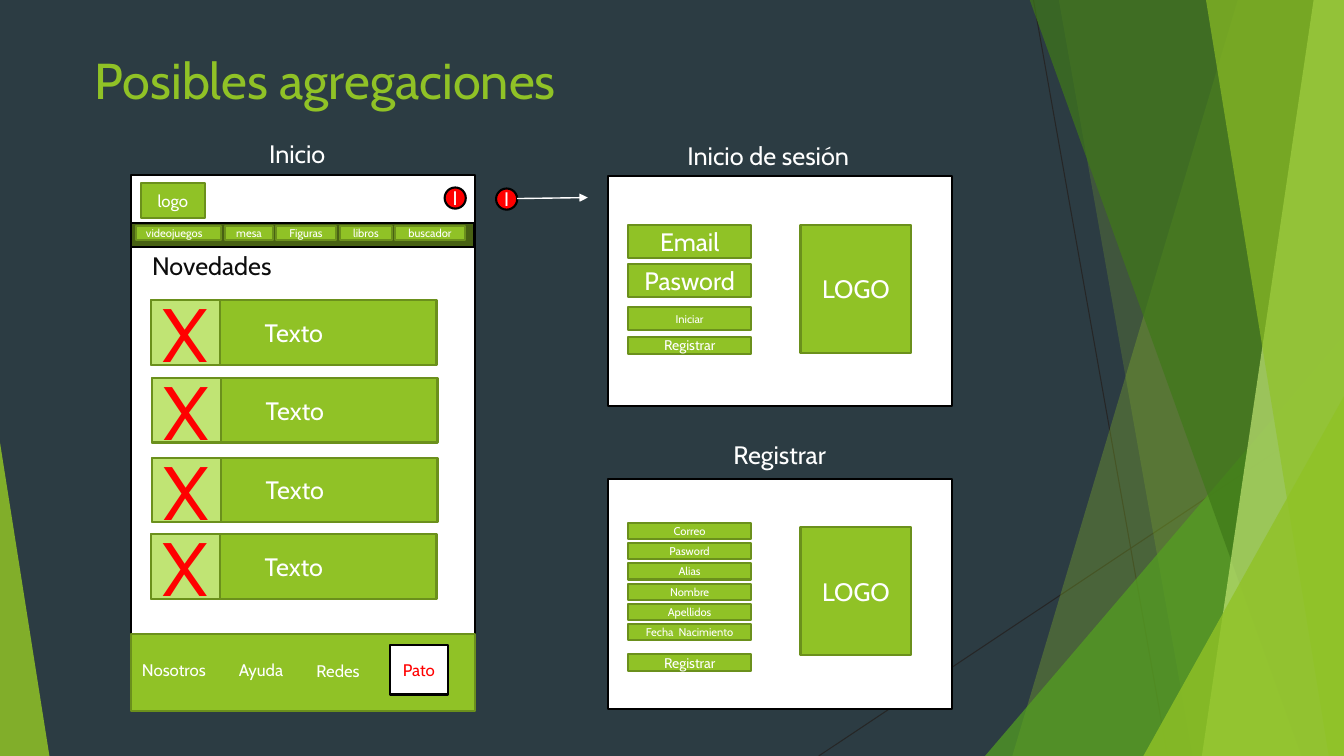
from dataclasses import dataclass

from lxml.etree import SubElement
from pptx import Presentation
from pptx.dml.color import RGBColor
from pptx.enum.shapes import MSO_CONNECTOR, MSO_SHAPE
from pptx.enum.text import MSO_ANCHOR, PP_ALIGN
from pptx.oxml.ns import qn
from pptx.util import Inches, Pt


@dataclass(frozen=True)
class Theme:
    """Colours, type sizes and font of the slide."""
    font: str = "Cabin"
    background: str = "2C3C43"
    green: str = "90C226"
    edge: str = "6B901C"
    olive: str = "486113"
    lime: str = "C0E474"
    grass: str = "54A021"
    forest: str = "3F7819"
    red: str = "FF0000"
    white: str = "FFFFFF"
    black: str = "000000"
    ink: str = "0D0D0D"
    hairline: str = "262626"
    title: int = 36
    cross: int = 54
    body: int = 18
    badge: int = 14
    small: int = 12
    button: int = 10
    tiny: int = 8


THEME = Theme()
WIDTH, HEIGHT = 13.33, 7.5


def rgb(color):
    """Turn a hex string into a colour."""
    return RGBColor.from_string(color)


def write(shape, text, size, color, align):
    """Put one paragraph of styled text in a shape."""
    para = shape.text_frame.paragraphs[0]
    para.text = text
    para.alignment = align
    para.font.name = THEME.font
    para.font.size = Pt(size)
    para.font.color.rgb = rgb(color)


def add_label(page, area, text, size=THEME.body, color=THEME.white, align=PP_ALIGN.LEFT):
    """Add a text box."""
    box = page.shapes.add_textbox(*map(Inches, area))
    box.text_frame.word_wrap = True
    write(box, text, size, color, align)


def add_block(page, area, text="", size=THEME.body, color=THEME.white, fill=THEME.green,
              line=THEME.edge, kind=MSO_SHAPE.RECTANGLE, align=PP_ALIGN.CENTER):
    """Add an outlined shape with optional text."""
    block = page.shapes.add_shape(kind, *map(Inches, area))
    block.shadow.inherit = False
    block.fill.solid()
    block.fill.fore_color.rgb = rgb(fill)
    block.line.color.rgb = rgb(line)
    block.line.width = Pt(1.5)
    if text:
        block.text_frame.vertical_anchor = MSO_ANCHOR.MIDDLE
        write(block, text, size, color, align)


def add_line(page, start, end, color, width, arrow=False):
    """Add a straight line, with an arrowhead at its end if asked."""
    line = page.shapes.add_connector(MSO_CONNECTOR.STRAIGHT, *map(Inches, start + end))
    line.line.color.rgb = rgb(color)
    line.line.width = Pt(width)
    if arrow:
        SubElement(line.line._get_or_add_ln(), qn("a:tailEnd"), type="triangle")
    SubElement(line.element.spPr, qn("a:effectLst"))


def make_glass(shape, color, opacity):
    """Give a shape a translucent fill and no outline."""
    shape.shadow.inherit = False
    shape.fill.solid()
    shape.fill.fore_color.rgb = rgb(color)
    shape.line.fill.background()
    tint = next(shape.element.spPr.iter(qn("a:srgbClr")))
    SubElement(tint, qn("a:alpha"), val=str(opacity * 1000))


def add_shard(page, top_left, bottom_left, color, opacity):
    """Add a slanted pane that reaches the right edge of the slide."""
    top = -0.01
    builder = page.shapes.build_freeform(Inches(top_left), Inches(top), scale=1.0)
    corners = [(WIDTH, top), (WIDTH, HEIGHT), (bottom_left, HEIGHT)]
    builder.add_line_segments([(Inches(x), Inches(y)) for x, y in corners], close=True)
    make_glass(builder.convert_to_shape(), color, opacity)


def add_corner(page, area, apex, color, opacity):
    """Add a translucent triangle with its apex at the left (0) or right (1)."""
    corner = page.shapes.add_shape(MSO_SHAPE.ISOSCELES_TRIANGLE, *map(Inches, area))
    corner.adjustments[0] = apex
    make_glass(corner, color, opacity)


def add_backdrop(page):
    """Draw the green panes around the slide."""
    add_line(page, (10.25, 0), (11.58, HEIGHT), THEME.hairline, 0.75)
    add_line(page, (WIDTH, 4.03), (8.12, HEIGHT), THEME.hairline, 0.75)
    add_shard(page, 12.28, 10.04, THEME.green, 30)
    add_shard(page, 10.5, 11.83, THEME.green, 20)
    add_corner(page, (9.77, 3.33, 3.56, 4.17), 1, THEME.grass, 72)
    add_shard(page, 10.21, 12.91, THEME.forest, 70)
    add_shard(page, 13.03, 11.92, THEME.lime, 70)
    add_shard(page, 11.96, 13.18, THEME.green, 65)
    add_corner(page, (11.34, 3.93, 1.99, 3.57), 1, THEME.green, 80)
    add_corner(page, (0, 4.39, 0.49, 3.11), 0, THEME.green, 85)


def add_badge(page, left, top):
    """Add the round red session button."""
    add_block(page, (left, top, 0.21, 0.21), "I", THEME.badge, fill=THEME.red,
              line=THEME.black, kind=MSO_SHAPE.OVAL)


def add_news(page, left, top):
    """Add one news row with its crossed thumbnail."""
    add_block(page, (left, top, 2.83, 0.64), "Texto")
    add_block(page, (left, top, 0.68, 0.64), "X", THEME.cross, THEME.red, THEME.lime)


def add_home(page):
    """Draw the wireframe of the home page."""
    add_label(page, (2.57, 1.32, 0.85, 0.4), "Inicio")
    add_block(page, (1.3, 1.74, 3.41, 5.3), fill=THEME.white, line=THEME.black)
    add_block(page, (1.4, 1.82, 0.63, 0.34), "logo", THEME.small)
    add_badge(page, 4.41, 1.86)
    add_block(page, (1.3, 2.21, 3.4, 0.24), fill=THEME.olive, line=THEME.black)
    tabs = [("videojuegos", 1.35, 0.84, PP_ALIGN.LEFT), ("mesa", 2.23, 0.48, PP_ALIGN.CENTER),
            ("Figuras", 2.74, 0.59, PP_ALIGN.CENTER), ("libros", 3.37, 0.52, PP_ALIGN.CENTER),
            ("buscador", 3.92, 0.69, PP_ALIGN.CENTER)]
    for text, left, width, align in tabs:
        add_block(page, (left, 2.24, width, 0.14), text, THEME.tiny, align=align)
    add_label(page, (1.41, 2.43, 1.51, 0.4), "Novedades", color=THEME.ink)
    for left, top in [(1.5, 2.98), (1.51, 3.75), (1.51, 4.54), (1.5, 5.3)]:
        add_news(page, left, top)
    add_block(page, (1.3, 6.29, 3.41, 0.76))
    links = [("Nosotros", 1.31, 6.5, 0.88), ("Ayuda", 2.27, 6.5, 0.77), ("Redes", 3.04, 6.51, 0.69)]
    for text, left, top, width in links:
        add_label(page, (left, top, width, 0.3), text, THEME.small)
    add_block(page, (3.87, 6.4, 0.57, 0.49), "Pato", THEME.small, THEME.red,
              THEME.white, THEME.black)


def add_form(page, top, fields):
    """Draw a form window with its logo and stacked fields."""
    add_block(page, (6.03, top, 3.41, 2.28), fill=THEME.white, line=THEME.black)
    add_block(page, (7.94, top + 0.48, 1.1, 1.27), "LOGO")
    for text, field_top, height, size in fields:
        add_block(page, (6.23, field_top, 1.22, height), text, size)


def main():
    """Build and save the slide."""
    deck = Presentation()
    deck.slide_width, deck.slide_height = Inches(WIDTH), Inches(HEIGHT)
    page = deck.slides.add_slide(deck.slide_layouts[6])
    page.background.fill.solid()
    page.background.fill.fore_color.rgb = rgb(THEME.background)
    add_backdrop(page)
    add_label(page, (0.84, 0.44, 9.4, 0.85), "Posibles agregaciones", THEME.title, THEME.green)
    add_home(page)

    add_badge(page, 4.92, 1.87)
    add_line(page, (5.13, 1.97), (5.83, 1.96), THEME.white, 1, arrow=True)
    add_label(page, (6.72, 1.34, 1.93, 0.4), "Inicio de sesión")
    add_form(page, 1.75, [("Email", 2.23, 0.33, THEME.body), ("Pasword", 2.62, 0.33, THEME.body),
                          ("Iniciar", 3.05, 0.22, THEME.tiny),
                          ("Registrar", 3.34, 0.17, THEME.button)])

    add_label(page, (7.08, 4.31, 1.21, 0.4), "Registrar", align=PP_ALIGN.RIGHT)
    names = ["Correo", "Pasword", "Alias", "Nombre", "Apellidos", "Fecha  Nacimiento"]
    fields = [(name, 5.19 + 0.2 * row, 0.16, THEME.tiny) for row, name in enumerate(names)]
    add_form(page, 4.75, fields + [("Registrar", 6.49, 0.17, THEME.button)])
    deck.save("out.pptx")


if __name__ == "__main__":
    main()
